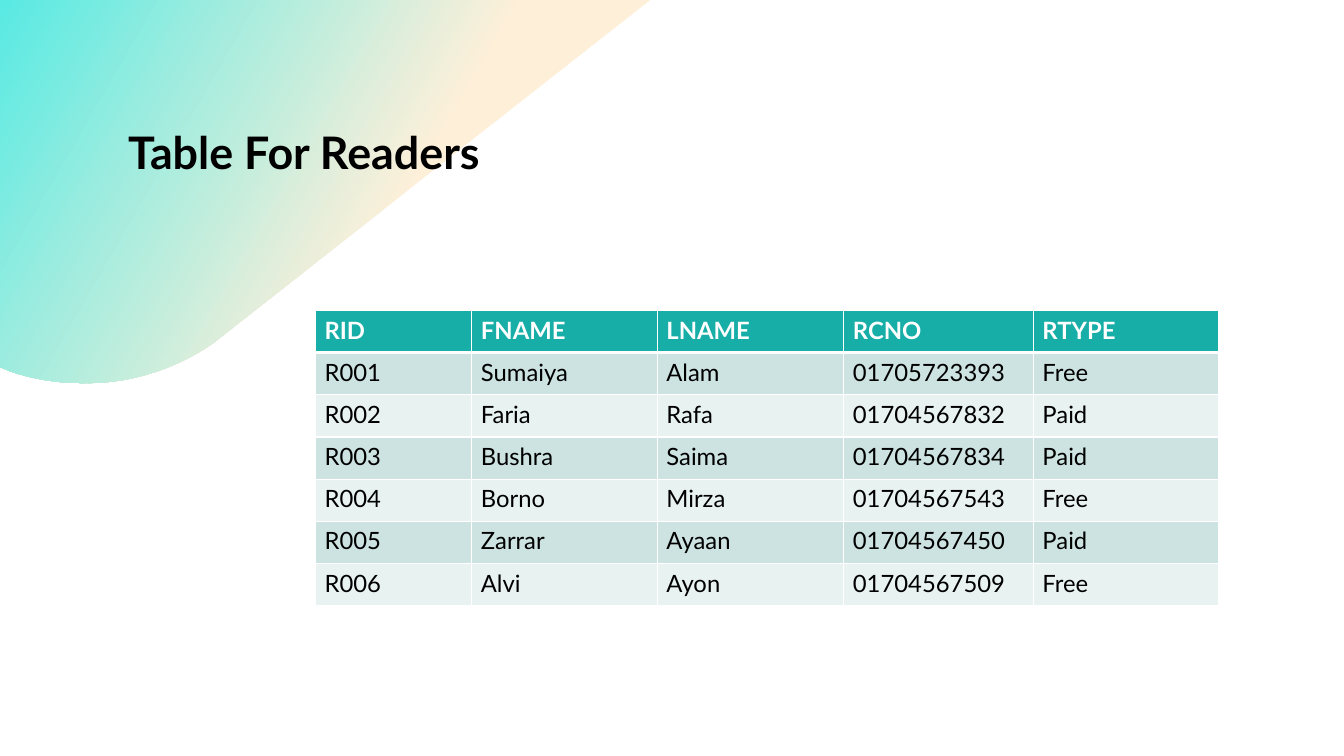
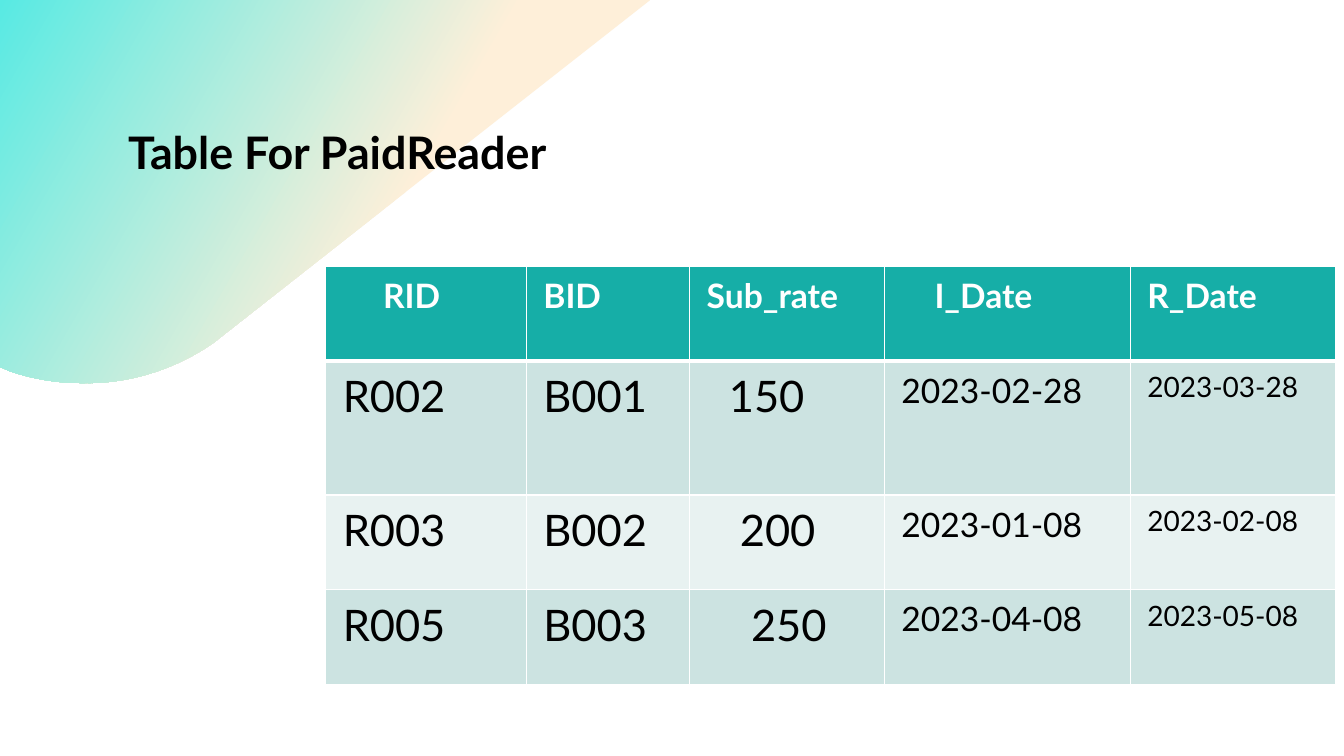
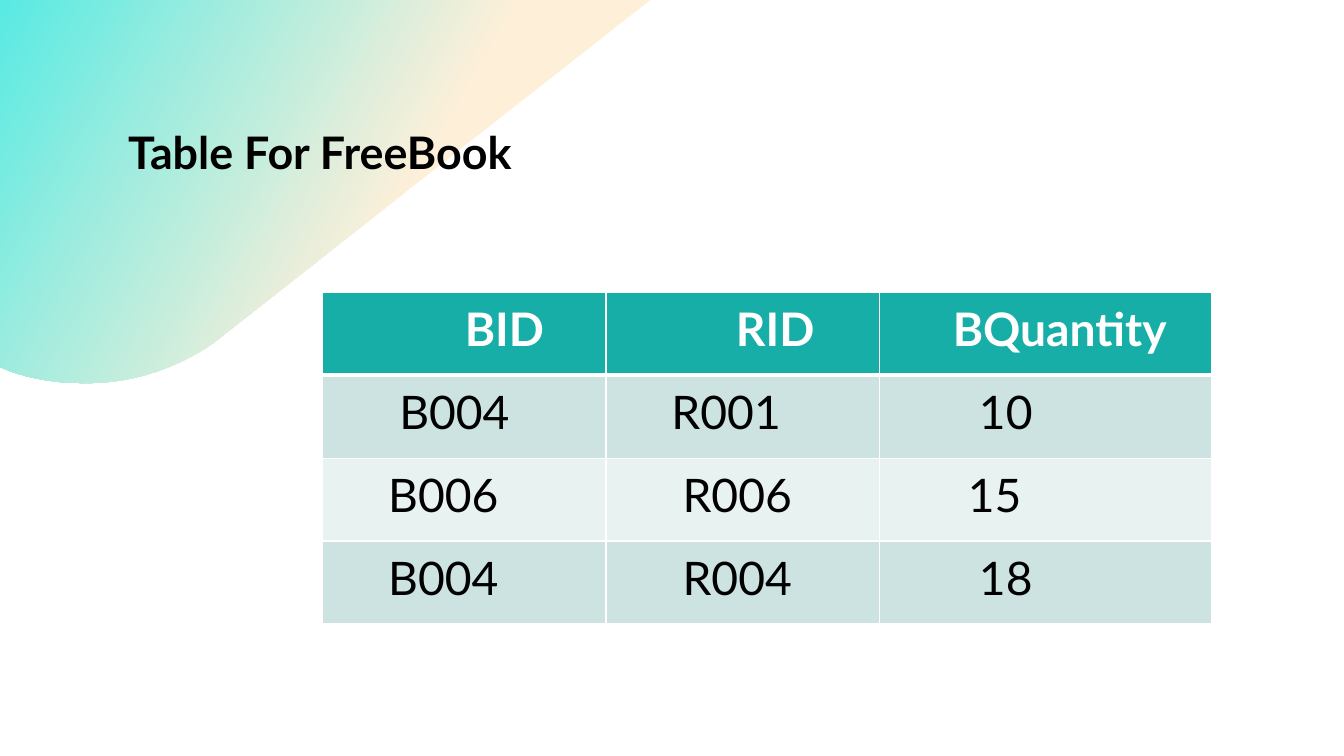
from dataclasses import dataclass, field
from typing import Dict, Iterator, Sequence, Tuple

import pptx
import pptx.dml.color
import pptx.enum.text
import pptx.oxml
import pptx.oxml.ns
import pptx.presentation
import pptx.slide
import pptx.table
import pptx.text.text
import pptx.util
from pptx.util import Inches

Point = Tuple[float, float]


@dataclass(frozen=True)
class Theme:
    font: str = "Lato"
    text: str = "000000"
    white: str = "FFFFFF"
    header: str = "16AEA7"
    bands: Tuple[str, str] = ("CCE3E1", "E8F2F1")
    corner_start: str = "FEEFD9"
    corner_end: str = "58EAE3"
    title_size: int = 32
    compact_size: int = 17
    small_size: int = 20
    medium_size: int = 24
    large_size: int = 31
    extra_large_size: int = 33
    border: float = 1
    header_border: float = 3


THEME = Theme()


@dataclass(frozen=True)
class TableSlide:
    """Lengths are in inches; indents are keyed by (row, column)."""
    title: str
    left: float
    top: float
    columns: Sequence[float]
    heights: Sequence[float]
    margins: Point
    header_size: int
    body_sizes: Sequence[int]
    rows: Sequence[Sequence[str]]
    indents: Dict[Tuple[int, int], float] = field(default_factory=dict)


TABLE_SLIDES = (
    TableSlide(
        title="Table For Readers",
        left=3.13, top=3.08,
        columns=(1.55, 1.84, 1.85, 1.88, 1.84),
        heights=(2.93 / 7,) * 7,
        margins=(0.09, 0.05),
        header_size=THEME.compact_size,
        body_sizes=(THEME.compact_size,) * 5,
        rows=(
            ("RID", "FNAME", "LNAME", "RCNO", "RTYPE"),
            ("R001", "Sumaiya", "Alam", "01705723393", "Free"),
            ("R002", "Faria", "Rafa", "01704567832", "Paid"),
            ("R003", "Bushra", "Saima", "01704567834", "Paid"),
            ("R004", "Borno", "Mirza", "01704567543", "Free"),
            ("R005", "Zarrar", "Ayaan", "01704567450", "Paid"),
            ("R006", "Alvi", "Ayon", "01704567509", "Free"),
        ),
    ),
    TableSlide(
        title="Table For PaidReader",
        left=3.23, top=2.64,
        columns=(1.99, 1.62, 1.93, 2.44, 2.04),
        heights=(0.94, 1.33, 0.94, 0.94),
        margins=(0.17, 0.09),
        header_size=THEME.medium_size,
        body_sizes=(THEME.large_size,) * 3 + (THEME.medium_size, THEME.small_size),
        rows=(
            ("RID", "BID", "Sub_rate", "I_Date", "R_Date"),
            ("R002", "B001", "150", "2023-02-28", "2023-03-28"),
            ("R003", "B002", "200", "2023-01-08", "2023-02-08"),
            ("R005", "B003", "250", "2023-04-08", "2023-05-08"),
        ),
        indents={(0, 0): 0.4, (0, 3): 0.33,
                 (1, 2): 0.22, (2, 2): 0.33, (3, 2): 0.44},
    ),
    TableSlide(
        title="Table For FreeBook",
        left=3.2, top=2.9,
        columns=(2.81, 2.71, 3.3),
        heights=(3.29 / 4,) * 4,
        margins=(0.18, 0.09),
        header_size=THEME.extra_large_size,
        body_sizes=(THEME.extra_large_size,) * 3,
        rows=(
            ("BID", "RID", "BQuantity"),
            ("B004", "R001", "10"),
            ("B006", "R006", "15"),
            ("B004", "R004", "18"),
        ),
        indents={(0, 0): 1.23, (0, 1): 1.11, (0, 2): 0.55,
                 (1, 0): 0.58, (1, 1): 0.47, (1, 2): 0.81,
                 (2, 0): 0.47, (2, 1): 0.58, (2, 2): 0.7,
                 (3, 0): 0.47, (3, 1): 0.58, (3, 2): 0.81},
    ),
)


def rgb(code: str) -> pptx.dml.color.RGBColor:
    return pptx.dml.color.RGBColor.from_string(code)


def style_text(paragraph: pptx.text.text._Paragraph, size: int, color: str, bold: bool) -> None:
    for run in paragraph.runs:
        run.font.name = THEME.font
        run.font.size = pptx.util.Pt(size)
        run.font.bold = bold
        run.font.color.rgb = rgb(color)


def curve(start: Point, pull_1: Point, pull_2: Point, end: Point, steps: int = 24) -> Iterator[Point]:
    """Yield points along a cubic Bezier curve, without its start."""
    for step in range(1, steps + 1):
        t = step / steps
        u = 1 - t
        weights = (u ** 3, 3 * u * u * t, 3 * u * t * t, t ** 3)
        x, y = (sum(weight * value for weight, value in zip(weights, axis))
                for axis in zip(start, pull_1, pull_2, end))
        yield x, y


def add_corner(slide: pptx.slide.Slide) -> None:
    outline = [
        (6.45, 0), (2.17, 3.36), (2.12, 3.4),
        *curve((2.12, 3.4), (1.76, 3.65), (1.34, 3.79), (0.92, 3.8)),
        *curve((0.92, 3.8), (0.88, 3.8), (0.84, 3.8), (0.79, 3.8)),
        *curve((0.79, 3.8), (0.56, 3.8), (0.32, 3.76), (0.09, 3.68)),
        (0, 3.64),
    ]
    builder = slide.shapes.build_freeform(0, 0)
    builder.add_line_segments([(Inches(x), Inches(y)) for x, y in outline], close=True)
    corner = builder.convert_to_shape()
    corner.shadow.inherit = False
    corner.line.fill.background()
    corner.fill.gradient()
    corner.fill.gradient_angle = 150
    stops = ((0.4, THEME.corner_start), (1, THEME.corner_end))
    for stop, (position, color) in zip(corner.fill.gradient_stops, stops):
        stop.position = position
        stop.color.rgb = rgb(color)


def set_title(slide: pptx.slide.Slide, text: str) -> None:
    title = slide.shapes.title
    title.left, title.top = Inches(1.17), Inches(1.25)
    title.width, title.height = Inches(5.5), Inches(1.16)
    frame = title.text_frame
    frame.text = text
    frame.word_wrap = True
    frame.auto_size = pptx.enum.text.MSO_AUTO_SIZE.NONE
    frame.vertical_anchor = pptx.enum.text.MSO_ANCHOR.TOP
    heading = frame.paragraphs[0]
    heading.alignment = pptx.enum.text.PP_ALIGN.LEFT
    heading.line_spacing = 0.9
    style_text(heading, THEME.title_size, THEME.text, True)


def set_borders(cell: pptx.table._Cell, row: int) -> None:
    """Draw white cell borders, thicker between the header and the body."""
    properties = cell._tc.get_or_add_tcPr()
    for side in "LRTB":
        under_header = (row, side) in ((0, "B"), (1, "T"))
        width = pptx.util.Pt(THEME.header_border if under_header else THEME.border)
        properties.append(pptx.oxml.parse_xml(
            f'<a:ln{side} {pptx.oxml.ns.nsdecls("a")} w="{width}"><a:solidFill>'
            f'<a:srgbClr val="{THEME.white}"/></a:solidFill></a:ln{side}>'))


def fill_cell(cell: pptx.table._Cell, content: TableSlide, row: int, column: int) -> None:
    is_header = row == 0
    side, edge = (Inches(margin) for margin in content.margins)
    cell.margin_left = cell.margin_right = side
    cell.margin_top = cell.margin_bottom = edge
    set_borders(cell, row)
    cell.fill.solid()
    cell.fill.fore_color.rgb = rgb(THEME.header if is_header else THEME.bands[(row - 1) % 2])
    cell.text_frame.text = content.rows[row][column]
    entry = cell.text_frame.paragraphs[0]
    if (row, column) in content.indents:
        entry._p.get_or_add_pPr().set("marL", str(Inches(content.indents[row, column])))
    style_text(entry,
               content.header_size if is_header else content.body_sizes[column],
               THEME.white if is_header else THEME.text, is_header)


def add_data_table(slide: pptx.slide.Slide, content: TableSlide) -> None:
    table = slide.shapes.add_table(
        len(content.heights), len(content.columns),
        Inches(content.left), Inches(content.top),
        Inches(sum(content.columns)), Inches(sum(content.heights))).table
    table.horz_banding = False
    for column, width in zip(table.columns, content.columns):
        column.width = Inches(width)
    for row, height in enumerate(content.heights):
        table.rows[row].height = Inches(height)
        for column in range(len(content.columns)):
            fill_cell(table.cell(row, column), content, row, column)


def add_table_slide(deck: pptx.presentation.Presentation, content: TableSlide) -> None:
    slide = deck.slides.add_slide(deck.slide_layouts.get_by_name("Title Only"))
    add_corner(slide)
    # The title stands in front of the corner.
    slide.shapes._spTree.append(slide.shapes.title._element)
    set_title(slide, content.title)
    add_data_table(slide, content)


def main() -> None:
    deck = pptx.Presentation()
    deck.slide_width, deck.slide_height = Inches(13.33), Inches(7.5)
    for content in TABLE_SLIDES:
        add_table_slide(deck, content)
    deck.save("out.pptx")


if __name__ == "__main__":
    main()
